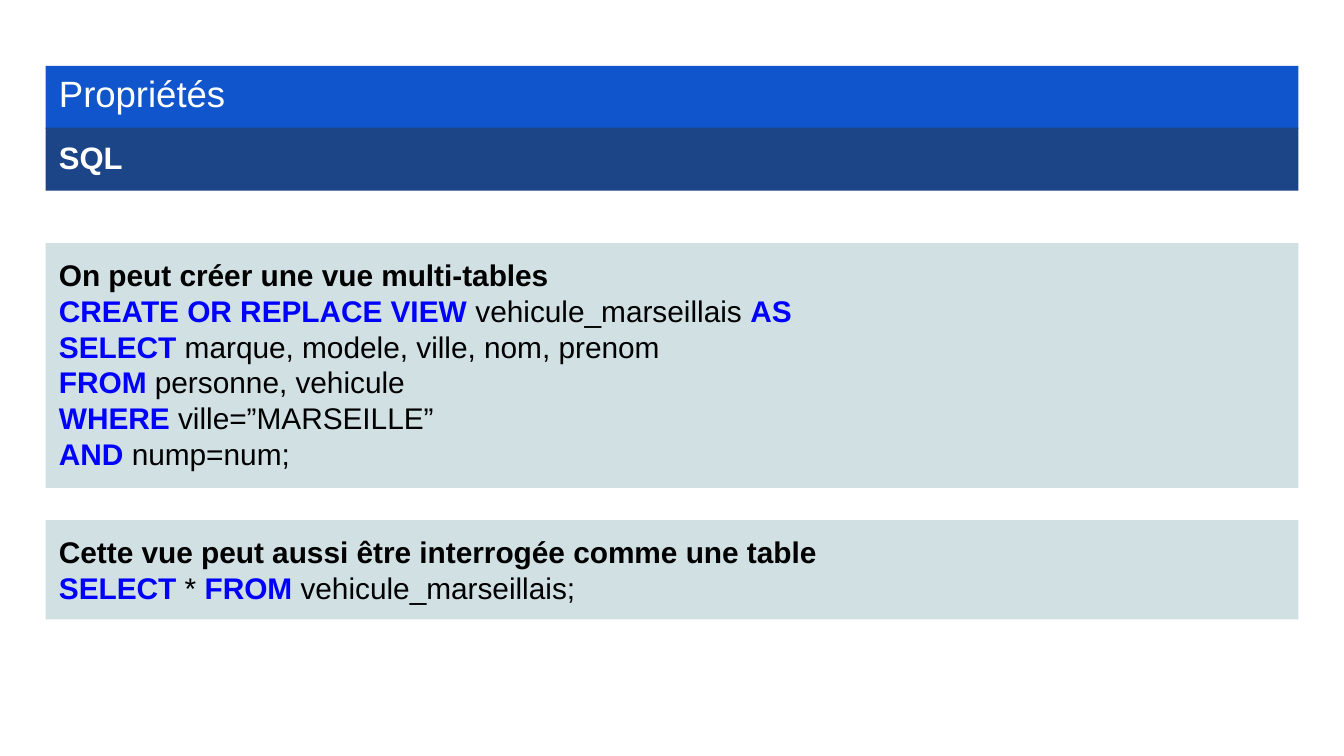
from dataclasses import dataclass

from pptx import Presentation
from pptx import util as u
from pptx.dml.color import RGBColor
from pptx.enum import shapes, text
from pptx.slide import Slide
from pptx.text.text import _Paragraph as Paragraph


@dataclass(frozen=True)
class Theme:
    font: str = "Arial"
    title_size: float = 19.6
    subtitle_size: float = 16.6
    body_size: float = 16
    title_fill: str = "1155CC"
    subtitle_fill: str = "1C4587"
    panel_fill: str = "D0E0E3"
    light: str = "FFFFFF"
    dark: str = "000000"
    keyword: str = "0000FF"


THEME = Theme()
PAGE_WIDTH = 10
PAGE_HEIGHT = PAGE_WIDTH * 9 / 16
LEFT, WIDTH, PADDING = 0.34, 9.32, 0.1


@dataclass(frozen=True)
class Span:
    words: str
    color: str = THEME.dark
    bold: bool = False


@dataclass(frozen=True)
class Band:
    top: float
    height: float
    fill: str
    size: float
    lines: list[list[Span]]
    line_spacing: float = 1.0
    space_after: float = 0
    grows: bool = False


def heading(words: str) -> list[Span]:
    return [Span(words, bold=True)]


def keyword(words: str) -> Span:
    return Span(words, THEME.keyword, bold=True)


BANDS = [
    Band(0.49, 0.47, THEME.title_fill, THEME.title_size,
         [[Span("Propriétés", THEME.light)]], line_spacing=0.8),
    Band(0.95, 0.47, THEME.subtitle_fill, THEME.subtitle_size,
         [[Span("SQL", THEME.light, bold=True)]], line_spacing=0.95, space_after=12),
    Band(1.81, 1.82, THEME.panel_fill, THEME.body_size, [
        heading("On peut créer une vue multi-tables"),
        [keyword("CREATE OR REPLACE VIEW"), Span(" vehicule_marseillais "), keyword("AS")],
        [keyword("SELECT"), Span(" marque, modele, ville, nom, prenom")],
        [keyword("FROM"), Span(" personne, vehicule")],
        [keyword("WHERE "), Span("ville=”MARSEILLE”")],
        [keyword("AND "), Span("nump=num;")],
    ], grows=True),
    Band(3.87, 0.74, THEME.panel_fill, THEME.body_size, [
        heading("Cette vue peut aussi être interrogée comme une table"),
        [keyword("SELECT"), Span(" * "), keyword("FROM"), Span(" vehicule_marseillais;")],
    ], grows=True),
]


def add_text(para: Paragraph, words: str, *, size: float, color: str, bold: bool) -> None:
    run = para.add_run()
    run.text = words
    run.font.name = THEME.font
    run.font.size = u.Pt(size)
    run.font.bold = bold
    run.font.color.rgb = RGBColor.from_string(color)


def add_band(page: Slide, band: Band) -> None:
    box = page.shapes.add_shape(
        shapes.MSO_SHAPE.RECTANGLE,
        u.Inches(LEFT), u.Inches(band.top), u.Inches(WIDTH), u.Inches(band.height),
    )
    box.shadow.inherit = False
    box.fill.solid()
    box.fill.fore_color.rgb = RGBColor.from_string(band.fill)
    box.line.fill.background()

    frame = box.text_frame
    frame.word_wrap = True
    frame.vertical_anchor = text.MSO_ANCHOR.TOP
    frame.auto_size = (text.MSO_AUTO_SIZE.SHAPE_TO_FIT_TEXT if band.grows
                       else text.MSO_AUTO_SIZE.NONE)
    frame.margin_left = frame.margin_right = u.Inches(PADDING)
    frame.margin_top = frame.margin_bottom = u.Inches(PADDING)

    for index, line in enumerate(band.lines):
        para = frame.add_paragraph() if index else frame.paragraphs[0]
        para.alignment = text.PP_ALIGN.LEFT
        para.line_spacing = band.line_spacing
        para.space_after = u.Pt(band.space_after)
        for span in line:
            add_text(para, span.words, size=band.size, color=span.color, bold=span.bold)


def main() -> None:
    deck = Presentation()
    deck.slide_width = u.Inches(PAGE_WIDTH)
    deck.slide_height = u.Inches(PAGE_HEIGHT)
    page = deck.slides.add_slide(deck.slide_layouts[6])
    for band in BANDS:
        add_band(page, band)
    deck.save("out.pptx")


if __name__ == "__main__":
    main()
